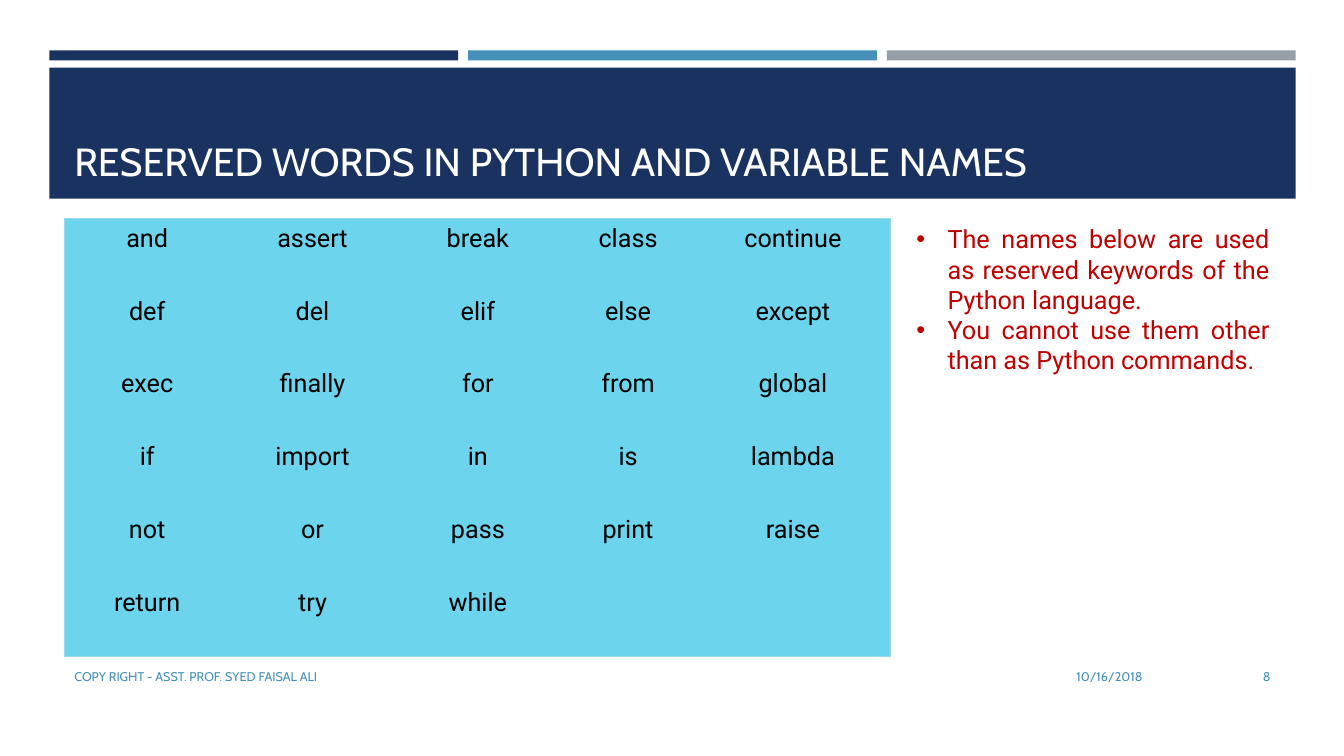
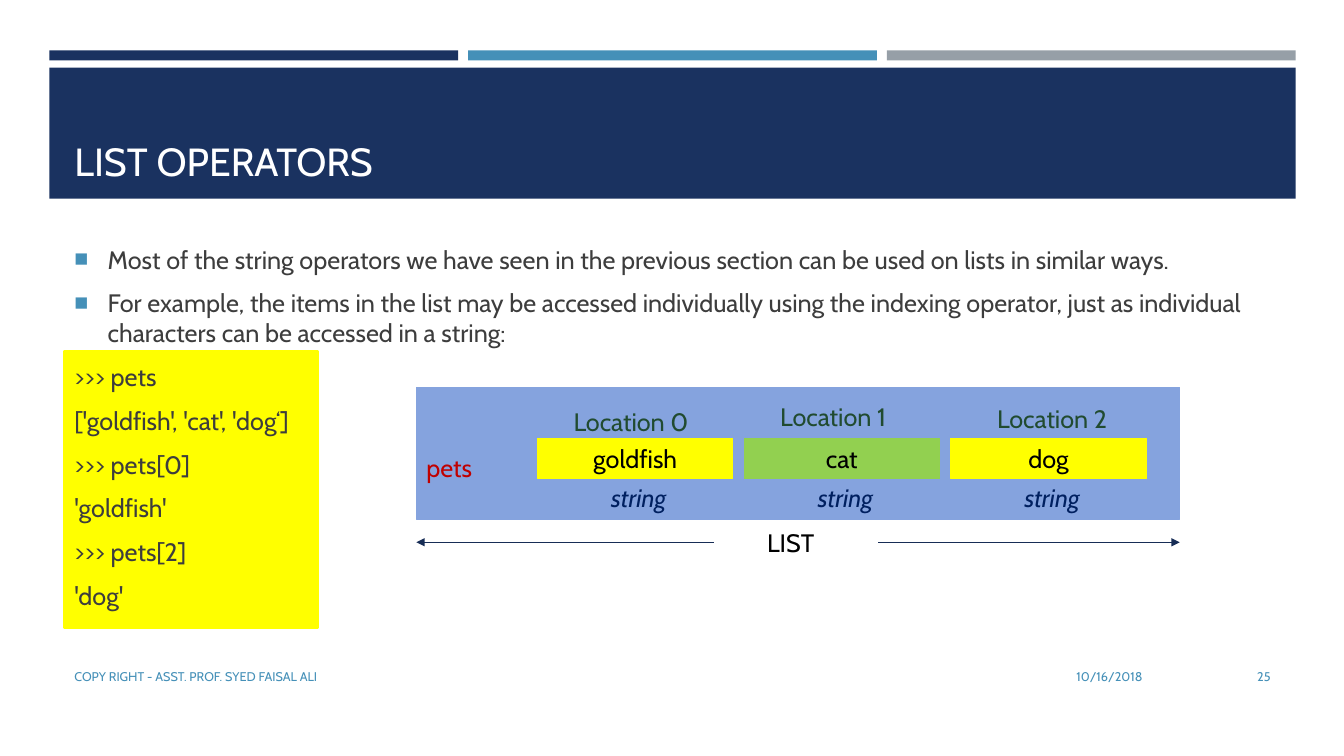
import dataclasses

import pptx
import pptx.dml.color
import pptx.enum.shapes
import pptx.enum.text
import pptx.oxml
import pptx.oxml.ns
import pptx.util

Inches, Pt = pptx.util.Inches, pptx.util.Pt
RGB = pptx.dml.color.RGBColor.from_string
ALIGN, ANCHOR = pptx.enum.text.PP_ALIGN, pptx.enum.text.MSO_ANCHOR
SHAPE = pptx.enum.shapes.MSO_SHAPE
CONNECTOR = pptx.enum.shapes.MSO_CONNECTOR
qn = pptx.oxml.ns.qn
NAMESPACE = pptx.oxml.ns.nsdecls("a")


@dataclasses.dataclass(frozen=True)
class Theme:
    heading_font: str = "Cabin"
    plain_font: str = "Roboto"
    title_size: int = 28
    body_size: int = 18
    footer_size: int = 9
    navy: str = "1A3260"
    blue: str = "4590B8"
    grey: str = "969FA7"
    white: str = "FFFFFF"
    black: str = "000000"
    body: str = "3D3D3D"
    red: str = "C00000"
    yellow: str = "FFFF00"
    green: str = "92D050"
    sky: str = "6CD4EC"
    sky_edge: str = "9CD9ED"
    panel: str = "85A3DE"
    arrow: str = "172D56"
    type_name: str = "002060"
    location: str = "214B30"


theme = Theme()


def add_box(page, left, top, width, height, lines=(), colour=theme.body,
            size=theme.body_size, font=theme.heading_font, align=ALIGN.LEFT,
            anchor=ANCHOR.TOP, fill=None, edge=0, italic=False):
    """Add a text box, or a rectangle when a fill is given."""
    place = [Inches(length) for length in (left, top, width, height)]
    if fill:
        box = page.shapes.add_shape(SHAPE.RECTANGLE, *place)
        box.shadow.inherit = False
        box.fill.solid()
        box.fill.fore_color.rgb = RGB(fill)
        if edge:
            box.line.color.rgb = RGB(fill)
            box.line.width = Pt(edge)
        else:
            box.line.fill.background()
    else:
        box = page.shapes.add_textbox(*place)
    frame = box.text_frame
    frame.word_wrap = True
    frame.vertical_anchor = anchor
    if lines:
        frame.text = "\n".join(lines)
    for para in frame.paragraphs:
        para.alignment = align
        for span in para.runs:
            span.font.name = font
            span.font.size = Pt(size)
            span.font.italic = italic
            span.font.color.rgb = RGB(colour)
    return box


def add_bullet(para, mark, indent, colour, percent):
    """Give a paragraph a hanging bullet."""
    properties = para._p.get_or_add_pPr()
    properties.set("marL", str(Inches(indent)))
    properties.set("indent", str(-Inches(indent)))
    for xml in (
        f'<a:buClr {NAMESPACE}><a:srgbClr val="{colour}"/></a:buClr>',
        f'<a:buSzPct {NAMESPACE} val="{percent * 1000}"/>',
        f'<a:buFont {NAMESPACE} typeface="Arial"/>',
        f'<a:buChar {NAMESPACE} char="{mark}"/>',
    ):
        properties.append(pptx.oxml.parse_xml(xml))


deck = pptx.Presentation()
deck.slide_width, deck.slide_height = Inches(13.33), Inches(7.5)

# Shared grid, in inches
header_left, header_width, band_gap = 0.49, 12.36, 0.1
band_width = (header_width - 2 * band_gap) / 3
content_left, content_width = 0.64, 12.06
content_right = content_left + content_width
footer_top, footer_height = 6.51, 0.4

# Bands, title and footer of every slide
pages = []
for title, number in (("RESERVED WORDS IN PYTHON AND VARIABLE NAMES", "8"),
                      ("LIST OPERATORS", "25")):
    page = deck.slides.add_slide(deck.slide_layouts[6])
    for column, colour in enumerate((theme.navy, theme.blue, theme.grey)):
        add_box(page, header_left + column * (band_width + band_gap), 0.5,
                band_width, 0.1, fill=colour)
    add_box(page, header_left, 0.67, header_width, 1.3, fill=theme.navy)
    add_box(page, content_left, 0.77, content_width, 1.11, [title],
            theme.white, theme.title_size, anchor=ANCHOR.BOTTOM)
    for left, width, text, align in (
        (content_left, 7.56, "COPY RIGHT - ASST. PROF. SYED FAISAL ALI", ALIGN.LEFT),
        (8.32, 3.11, "10/16/2018", ALIGN.RIGHT),
        (content_right - 1.15, 1.15, number, ALIGN.RIGHT),
    ):
        add_box(page, left, footer_top, width, footer_height, [text], theme.blue,
                theme.footer_size, align=align, anchor=ANCHOR.MIDDLE)
    pages.append(page)
words_page, list_page = pages

# Reserved words: table with an outer border only
keywords = [line.split() for line in (
    "and assert break class continue",
    "def del elif else except",
    "exec finally for from global",
    "if import in is lambda",
    "not or pass print raise",
    "return try while",
)]
column_widths = (1.64, 1.64, 1.64, 1.34, 1.93)
row_count, column_count = len(keywords), len(column_widths)
table_top, table_height = 2.17, 4.34
table = words_page.shapes.add_table(
    row_count, column_count, Inches(content_left), Inches(table_top),
    Inches(sum(column_widths)), Inches(table_height)).table
table.first_row = table.horz_banding = False
for column, width in zip(table.columns, column_widths):
    column.width = Inches(width)
for row_index, row in enumerate(table.rows):
    row.height = Inches(table_height / row_count)
    for column_index, cell in enumerate(row.cells):
        outer_edges = {
            "lnL": column_index == 0,
            "lnR": column_index == column_count - 1,
            "lnT": row_index == 0,
            "lnB": row_index == row_count - 1,
        }
        for edge, is_outer in outer_edges.items():
            paint = (f'<a:solidFill><a:srgbClr val="{theme.sky_edge}"/></a:solidFill>'
                     if is_outer else "<a:noFill/>")
            cell._tc.get_or_add_tcPr().append(pptx.oxml.parse_xml(
                f'<a:{edge} {NAMESPACE} w="{Pt(1)}">{paint}</a:{edge}>'))
        cell.fill.solid()
        cell.fill.fore_color.rgb = RGB(theme.sky)
        if column_index < len(keywords[row_index]):
            cell.text = keywords[row_index][column_index]
            para = cell.text_frame.paragraphs[0]
            para.alignment = ALIGN.CENTER
            font = para.runs[0].font
            font.name, font.size = theme.plain_font, Pt(theme.body_size)
            font.color.rgb = RGB(theme.black)

# Reserved words: remarks
remarks = add_box(words_page, 8.99, table_top, 3.7, 1.92, [
    "The names below are used as reserved keywords of the Python language.",
    "You cannot use them other than as Python commands.",
], theme.red, font=theme.plain_font, align=ALIGN.JUSTIFY)
for para in remarks.text_frame.paragraphs:
    add_bullet(para, "•", 0.31, theme.red, 100)

# List operators: bullets, then the session on yellow
add_box(list_page, content_left, 3.48, 2.51, 2.75, fill=theme.yellow, edge=1.75)
body = add_box(list_page, content_left, 2.37, content_width, 4.02, [
    "Most of the string operators we have seen in the previous section "
    "can be used on lists in similar ways.",
    "For example, the items in the list may be accessed individually using the "
    "indexing operator, just as individual characters can be accessed in a string:",
    ">>> pets",
    "['goldfish', 'cat', 'dog‘]",
    ">>> pets[0]",
    "'goldfish'",
    ">>> pets[2]",
    "'dog'",
])
for index, para in enumerate(body.text_frame.paragraphs):
    para.space_before, para.space_after = Pt(theme.body_size * 0.2), Pt(6)
    if index < 2:
        add_bullet(para, "■", 0.33, theme.blue, 92)

# List diagram: panel with one column per item
panel_left, panel_width = 4.13, 7.57
item_left, item_pitch, item_width = 5.33, 2.05, 1.94
item_top, line_height, label_width = 4.35, 0.4, 1.49
panel = add_box(list_page, panel_left, 3.84, panel_width, 1.31, ["pets"],
                theme.red, fill=theme.panel, edge=0.75)
panel.text_frame.margin_top = Inches(0.65)
for index, (item, fill, label_shift, label_top) in enumerate((
    ("goldfish", theme.yellow, 0.26, 3.98),
    ("cat", theme.green, 0.26, 3.93),
    ("dog", theme.yellow, 0.36, 3.95),
)):
    left = item_left + index * item_pitch
    add_box(list_page, left, item_top, item_width, line_height, [item],
            theme.black, align=ALIGN.CENTER, fill=fill, edge=0.75)
    add_box(list_page, left + 0.26, item_top + 0.39, label_width, line_height,
            ["string"], theme.type_name, align=ALIGN.CENTER, italic=True)
    add_box(list_page, left + label_shift, label_top, label_width, line_height,
            [f"Location {index}"], theme.location)

# List diagram: span arrows around the caption
add_box(list_page, 7.51, 5.18, 1.67, line_height, ["LIST"], theme.black)
arrow_y = Inches(5.38)
for start, end in ((7.08, panel_left), (8.71, panel_left + panel_width)):
    arrow = list_page.shapes.add_connector(
        CONNECTOR.STRAIGHT, Inches(start), arrow_y, Inches(end), arrow_y)
    arrow.line.color.rgb = RGB(theme.arrow)
    arrow.line.width = Pt(1)
    properties = arrow._element.spPr
    properties.find(qn("a:ln")).append(
        pptx.oxml.parse_xml(f'<a:tailEnd {NAMESPACE} type="triangle"/>'))
    properties.append(pptx.oxml.parse_xml(f"<a:effectLst {NAMESPACE}/>"))

deck.save("out.pptx")
